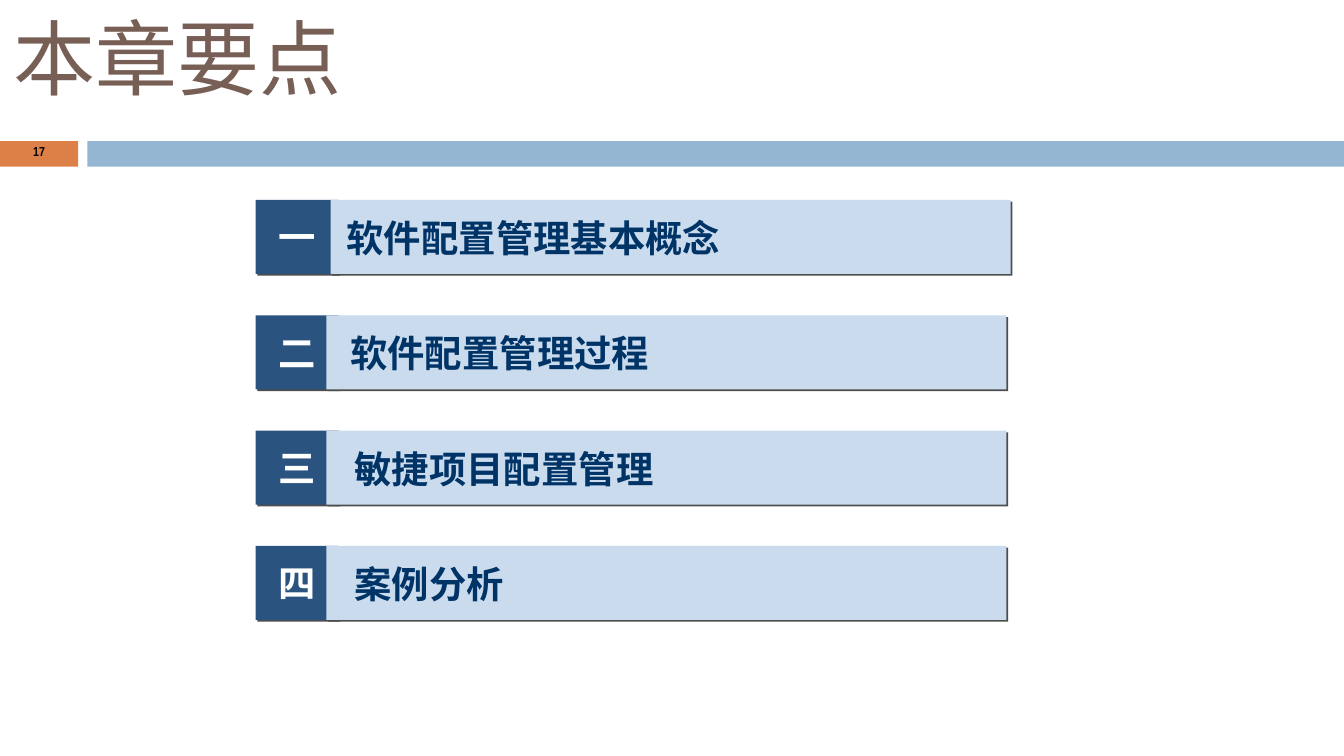
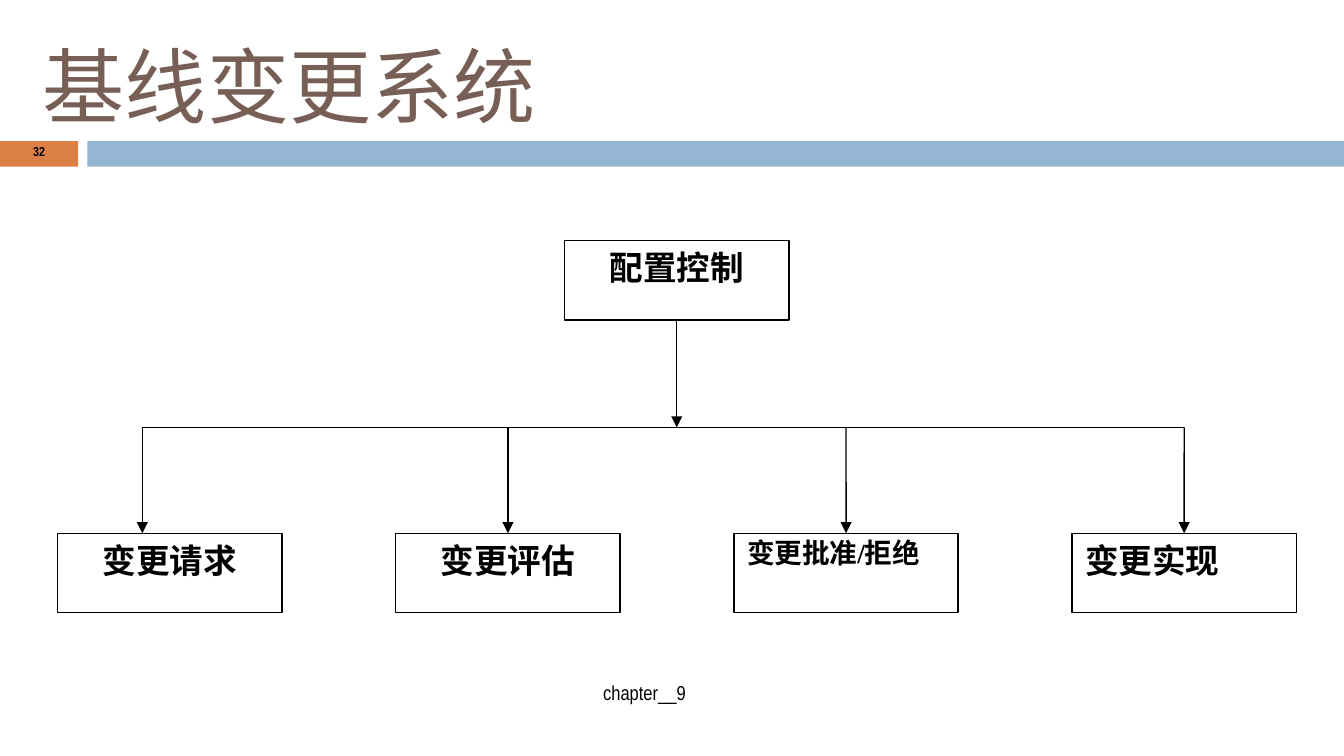
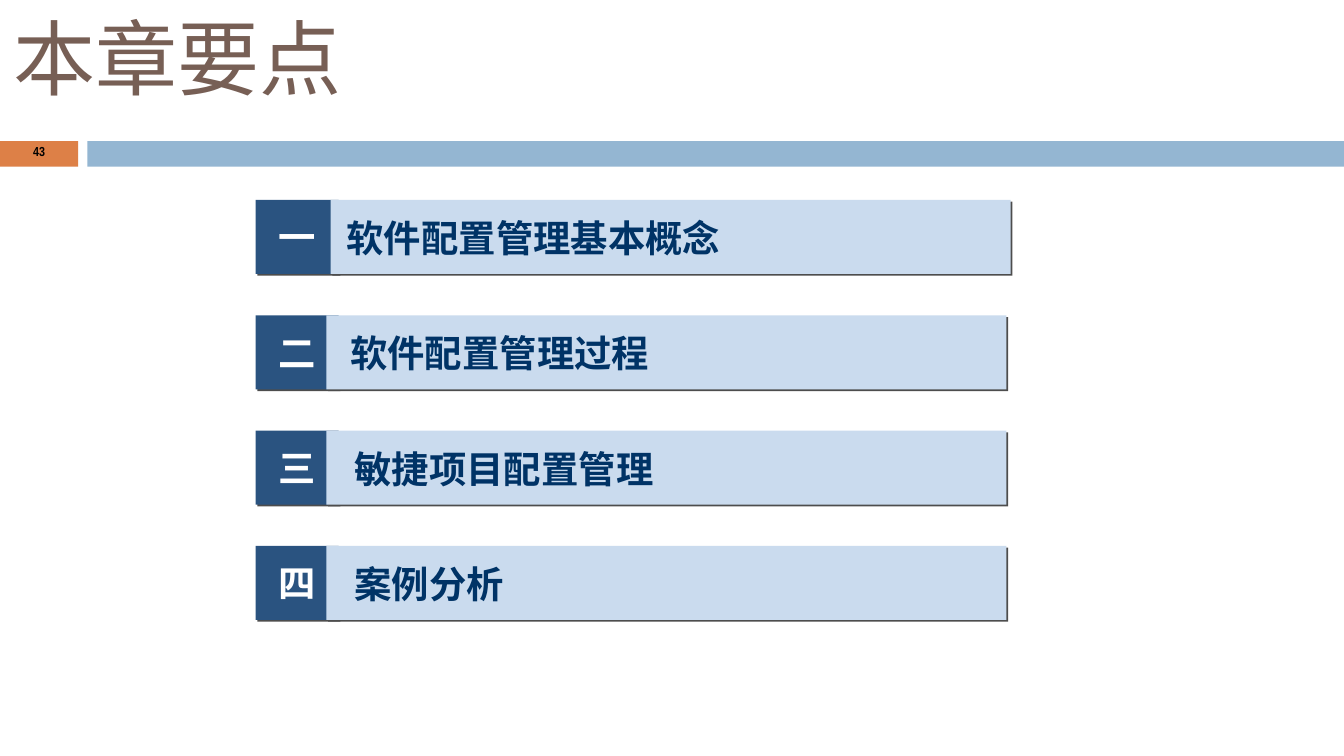
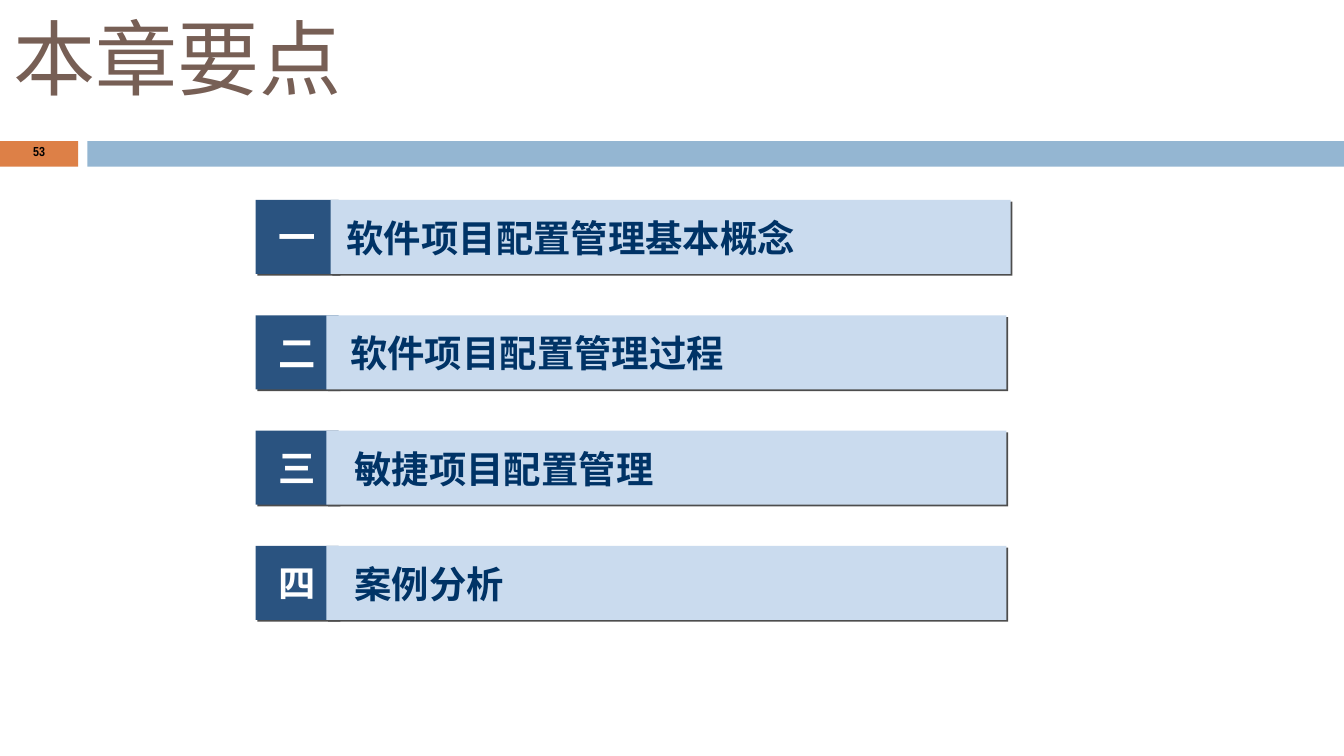
from lxml import etree
from pptx import Presentation, util as u
from pptx.dml.color import RGBColor
from pptx.enum import shapes, text
from pptx.oxml.ns import qn

WIDE, HIGH = 25.4, 14.29
HAN, BODY, TINY = "Noto Sans CJK SC", "Times New Roman", "Arial Narrow"
BROWN, ORANGE, SKY = "775F55", "DD8047", "94B6D2"
NAVY, PALE, INK = "2A5380", "CADBEE", "003366"
WHITE, BLACK, SHADE = "FFFFFF", "000000", "4D4D4D"
RECT, ROUND = shapes.MSO_SHAPE.RECTANGLE, shapes.MSO_SHAPE.ROUNDED_RECTANGLE
LEFT, MID, JUST = text.PP_ALIGN.LEFT, text.PP_ALIGN.CENTER, text.PP_ALIGN.JUSTIFY
TOP, CENTER = text.MSO_ANCHOR.TOP, text.MSO_ANCHOR.MIDDLE


def color(code):
    return RGBColor.from_string(code)


def place(*sizes):
    return [u.Cm(size) for size in sizes]


def write(shape, words, size, hue, font=HAN, bold=True, align=LEFT,
          anchor=CENTER, wrap=True, space=None):
    frame = shape.text_frame
    frame.word_wrap = wrap
    frame.vertical_anchor = anchor
    para = frame.paragraphs[0]
    para.text = words
    para.alignment = align
    para.line_spacing = space
    para.font.size = u.Pt(size)
    para.font.bold = bold
    para.font.color.rgb = color(hue)
    para.font.name = font
    props = para._p.pPr.find(qn("a:defRPr"))
    etree.SubElement(props, qn("a:ea"), typeface=HAN)


def block(slide, box, fill=None, line=None, kind=RECT):
    shape = slide.shapes.add_shape(kind, *place(*box))
    shape.shadow.inherit = False
    if fill:
        shape.fill.solid()
        shape.fill.fore_color.rgb = color(fill)
    else:
        shape.fill.background()
    if line:
        shape.line.color.rgb = color(line)
        shape.line.width = u.Pt(0.75)
    else:
        shape.line.fill.background()
    return shape


def label(slide, box, words, size, hue, **style):
    write(slide.shapes.add_textbox(*place(*box)), words, size, hue, **style)


def shade(shape):
    effects = shape._element.spPr.find(qn("a:effectLst"))
    drop = etree.SubElement(effects, qn("a:outerShdw"), dist=str(u.Pt(1.4)),
                            dir="2700000", algn="ctr", rotWithShape="0")
    etree.SubElement(drop, qn("a:srgbClr"), val=SHADE)


def link(slide, start, end, arrow=True):
    line = slide.shapes.add_connector(shapes.MSO_CONNECTOR.STRAIGHT,
                                      *place(*start, *end))
    line.line.color.rgb = color(BLACK)
    line.line.width = u.Pt(0.75)
    if arrow:
        etree.SubElement(line.line._get_or_add_ln(), qn("a:tailEnd"), type="triangle")
    etree.SubElement(line._element.spPr, qn("a:effectLst"))
    return line


def start(deck, title, page, left=0, top=0):
    slide = deck.slides.add_slide(deck.slide_layouts[6])
    block(slide, (0, 2.67, 1.48, 0.48), ORANGE)
    block(slide, (1.65, 2.67, WIDE - 1.65, 0.48), SKY)
    label(slide, (left, top, 21.59, 2.39), title, 44, BROWN, bold=False, space=0.9)
    label(slide, (0, 2.64, 1.48, 0.51), page, 7, BLACK, font=TINY,
          align=MID, space=0.8)
    return slide


def agenda(deck, page, topics):
    slide = start(deck, "本章要点", page)
    tops = [3.78 + 2.18 * row for row in range(len(topics))]
    bars = (6.25, 6.17, 6.17, 6.17)
    spots = ((6.25, 12.2), (6.32, 12.2), (6.4, 12.01), (6.4, 11.2))
    for mark, top, bar in zip("一二三四", tops, bars):
        cell = block(slide, (4.83, top, 1.57, 1.4), NAVY)
        shade(cell)
        write(cell, mark, 20, WHITE, align=MID, wrap=False)
        shade(block(slide, (bar, top, 12.85, 1.4), PALE))
    for topic, top, (left, width) in zip(topics, tops, spots):
        pill = block(slide, (left, top + 0.2, width, 1.02), kind=ROUND)
        write(pill, topic, 20, INK, wrap=False)


def node(slide, left, top, words, size=18, align=MID, space=None):
    box = block(slide, (left, top, 4.24, 1.5), WHITE, BLACK)
    write(box, words, size, BLACK, font=BODY, align=align, anchor=TOP, space=space)
    return box


def change(deck):
    slide = start(deck, "基线变更系统", "32", 0.56, 0.53)
    label(slide, (4.65, 12.75, 15.06, 0.76), "chapter__9", 10.8, BLACK,
          font=TINY, bold=False, align=MID, space=0.8)
    root = node(slide, 10.67, 4.55, "配置控制")
    steps = (("变更请求", 18, MID, None), ("变更评估", 18, MID, None),
             ("变更批准/拒绝", 14.8, JUST, 0.9), ("变更实现", 18, JUST, None))
    low, bus = 10.08, 8.08
    lefts = [1.09 + 6.39 * col for col in range(len(steps))]
    nodes = [node(slide, left, low, *step) for left, step in zip(lefts, steps)]
    drops = [2.69] + [left + 2.12 for left in lefts[1:]]
    link(slide, (drops[0], bus), (drops[-1], bus), arrow=False)
    link(slide, (12.79, 6.05), (12.79, bus)).begin_connect(root, 2)
    for col, (drop, box) in enumerate(zip(drops, nodes)):
        line = link(slide, (drop, bus), (drop, low))
        if col:
            line.end_connect(box, 0)


def main():
    deck = Presentation()
    deck.slide_width, deck.slide_height = place(WIDE, HIGH)
    ends = ("敏捷项目配置管理", "案例分析")
    short = ("软件配置管理基本概念", "软件配置管理过程") + ends
    full = ("软件项目配置管理基本概念", "软件项目配置管理过程") + ends
    agenda(deck, "17", short)
    change(deck)
    agenda(deck, "43", short)
    agenda(deck, "53", full)
    deck.save("out.pptx")


if __name__ == "__main__":
    main()
